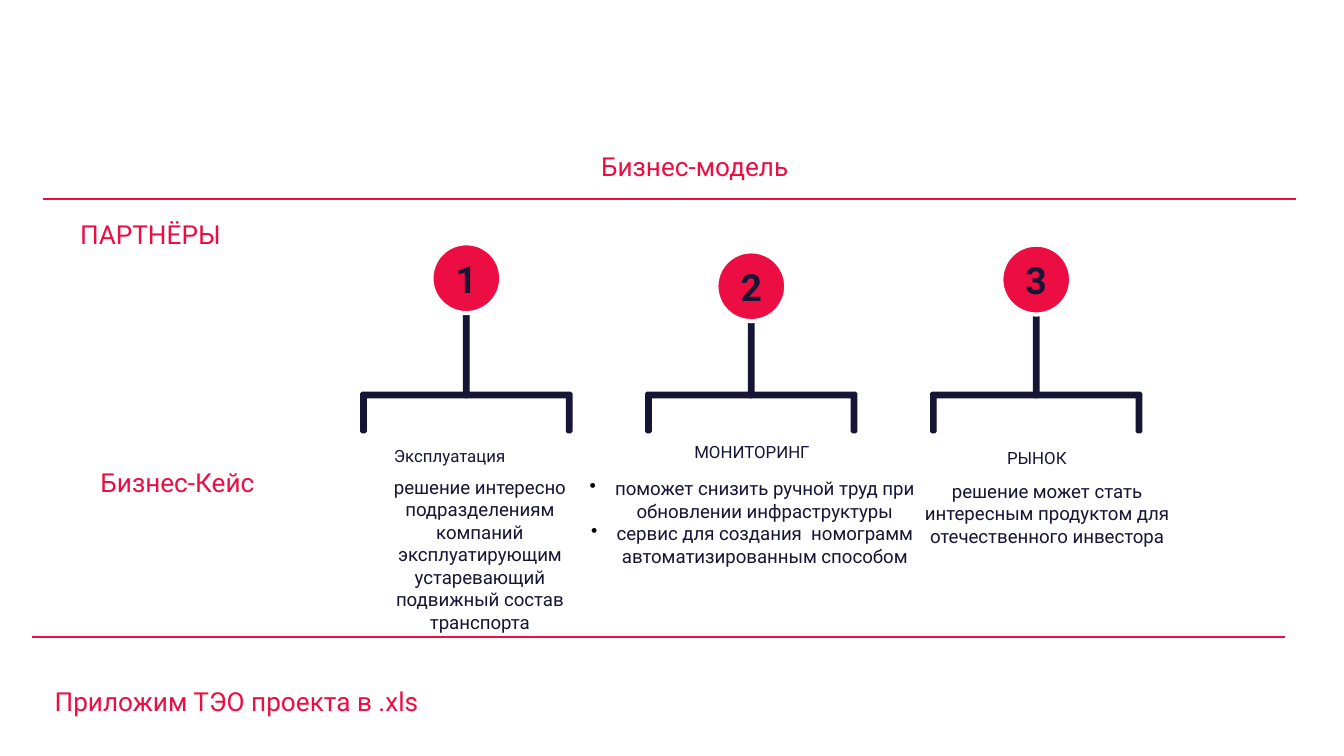
from pptx import Presentation
from pptx.dml.color import RGBColor
from pptx.enum.shapes import MSO_CONNECTOR, MSO_SHAPE
from pptx.enum.text import MSO_ANCHOR, PP_ALIGN
from pptx.oxml.ns import qn
from pptx.util import Inches, Pt
from lxml import etree

RED, NAVY, WHITE = "EC0E43", "171536", "FFFFFF"

prs = Presentation()
prs.slide_width = Inches(10)
prs.slide_height = Inches(10) * 9 // 16
slide = prs.slides.add_slide(prs.slide_layouts[6])
shapes = slide.shapes


def rgb(code):
    return RGBColor.from_string(code)


def write(shape, lines, size, color, anchor, bold=False, indent=0, bullet=False):
    frame = shape.text_frame
    frame.word_wrap = True
    frame.vertical_anchor = anchor
    for side in ("left", "top", "right", "bottom"):
        setattr(frame, "margin_" + side, Inches(0.1))
    for i, line in enumerate(lines):
        para = frame.add_paragraph() if i else frame.paragraphs[0]
        para.alignment = PP_ALIGN.CENTER
        props = para._p.get_or_add_pPr()
        if indent:
            props.set("marL", str(Inches(indent)))
        if bullet:
            props.set("indent", str(-Inches(indent)))
            tint = etree.SubElement(props, qn("a:buClr"))
            etree.SubElement(tint, qn("a:srgbClr")).set("val", "000000")
            etree.SubElement(props, qn("a:buChar")).set("char", "•")
        run = para.add_run()
        run.text = line
        look = {"name": "Roboto", "size": Pt(size), "bold": bold}
        for key, value in look.items():
            setattr(run.font, key, value)
        run.font.color.rgb = rgb(color)


# Red headings and column captions
heads = [
    ("ПАРТНЁРЫ", 0.19, 1.51, 1.86, 0.45, 14, RED),
    ("Бизнес-модель", 3.5, 1, 3.34, 0.45, 14, RED),
    ("Бизнес-Кейс ", 0, 3.35, 2.69, 0.45, 14, RED),
    ("Приложим ТЭО проекта в .xls ", 0.24, 4.98, 3.09, 0.45, 14, RED),
    ("Эксплуатация", 2.21, 3.2, 2.27, 0.34, 9, NAVY),
    ("МОНИТОРИНГ", 4.46, 3.17, 2.27, 0.34, 9, NAVY),
    ("РЫНОК", 6.58, 3.19, 2.27, 0.37, 9, NAVY),
]
for text, x, y, w, h, size, color in heads:
    box = shapes.add_textbox(Inches(x), Inches(y), Inches(w), Inches(h))
    write(box, [text], size, color, MSO_ANCHOR.BOTTOM)

# Column texts
bodies = [
    (["решение интересно подразделениям компаний эксплуатирующим "
      "устаревающий подвижный состав транспорта"],
     2.49, 3.44, 1.97, 1.1, 0.19, False),
    (["поможет снизить ручной труд при обновлении инфраструктуры",
      "сервис для создания  номограмм автоматизированным способом"],
     4.26, 3.45, 2.67, 1.09, 0.19, True),
    (["решение может стать интересным продуктом для отечественного инвестора"],
     6.73, 3.47, 2.12, 1.32, 0, False),
]
for lines, x, y, w, h, indent, bullet in bodies:
    box = shapes.add_textbox(Inches(x), Inches(y), Inches(w), Inches(h))
    write(box, lines, 10, NAVY, MSO_ANCHOR.TOP, indent=indent, bullet=bullet)

# Numbered circles, each on a stem above a bracket
bar, wide, tall, disc, cut = 0.04, 1.57, 0.3, 0.52, 0.01
roof = 2.92
foot = roof + tall
for i, top in enumerate((1.81, 1.87, 1.82)):
    mid = 3.47 + 2.12 * i
    # Left half of the bracket from the roof round to the inside, then mirrored
    half = [(wide / 2 - cut, roof), (wide / 2, roof + cut),
            (wide / 2, foot - cut), (wide / 2 - cut, foot),
            (wide / 2 - bar + cut, foot), (wide / 2 - bar, foot - cut),
            (wide / 2 - bar, roof + bar)]
    points = [(mid - x, y) for x, y in half]
    points += [(mid + x, y) for x, y in reversed(half)]
    points = [(Inches(x), Inches(y)) for x, y in points]
    pen = shapes.build_freeform(*points[0])
    pen.add_line_segments(points[1:])
    bracket = pen.convert_to_shape()
    stem = shapes.add_shape(MSO_SHAPE.ROUNDED_RECTANGLE, Inches(mid - 0.02),
                            Inches(1.96), Inches(0.04), Inches(1))
    stem.adjustments[0] = 0.5
    circle = shapes.add_shape(MSO_SHAPE.OVAL, Inches(mid - disc / 2),
                              Inches(top), Inches(disc), Inches(disc))
    for shape, fill, edge, width in ((bracket, NAVY, NAVY, 0.75),
                                     (stem, NAVY, NAVY, 0.75),
                                     (circle, RED, WHITE, 2.25)):
        shape.shadow.inherit = False
        shape.fill.solid()
        shape.fill.fore_color.rgb = rgb(fill)
        shape.line.color.rgb = rgb(edge)
        shape.line.width = Pt(width)
    write(circle, [str(i + 1)], 20, NAVY, MSO_ANCHOR.MIDDLE, bold=True)

# Rules above and below the content
for x, y in ((0.32, 1.48), (0.24, 4.74)):
    rule = shapes.add_connector(MSO_CONNECTOR.STRAIGHT, Inches(x), Inches(y),
                                Inches(x + 9.32), Inches(y))
    rule.line.color.rgb = rgb(RED)
    rule.line.width = Pt(0.75)
    etree.SubElement(rule._element.spPr, qn("a:effectLst"))

prs.save("out.pptx")
